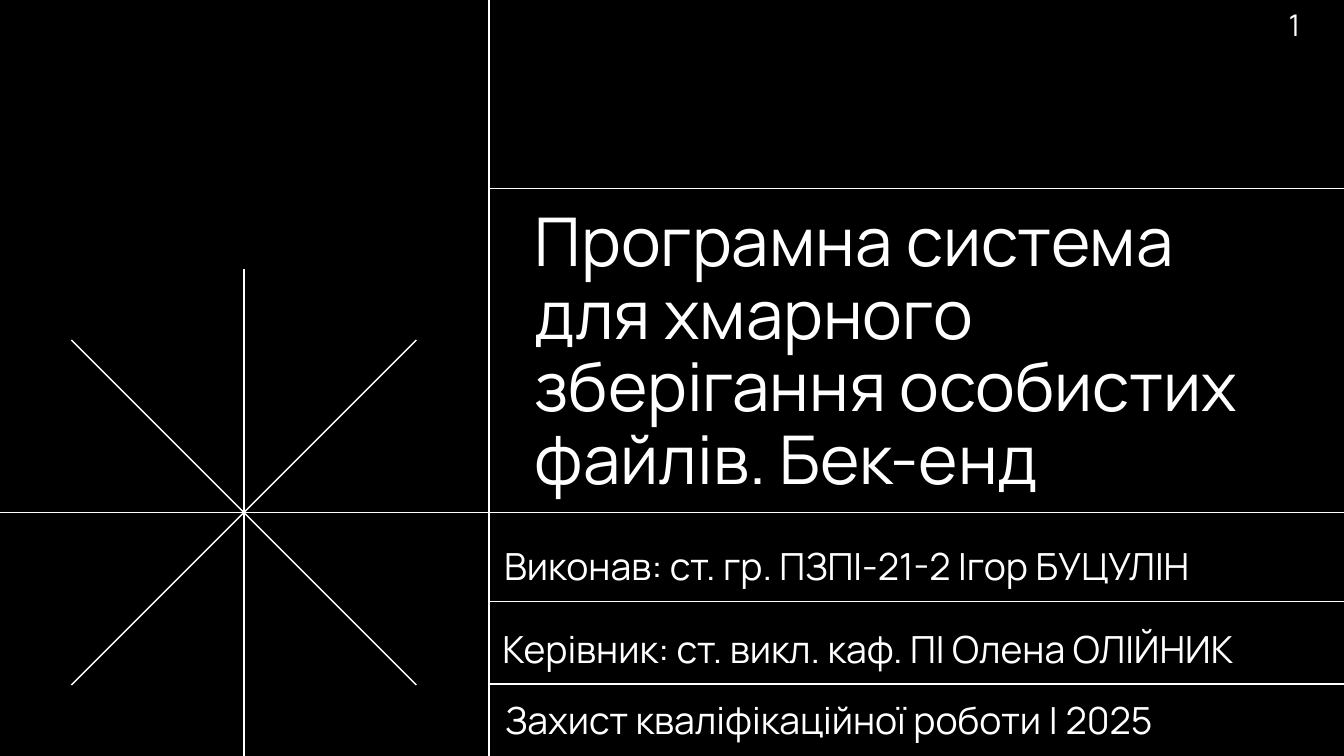
from math import cos, pi, sin

from lxml import etree
from pptx import Presentation
from pptx.dml.color import RGBColor
from pptx.enum.shapes import MSO_CONNECTOR
from pptx.enum.text import MSO_ANCHOR, MSO_AUTO_SIZE, PP_ALIGN
from pptx.oxml.ns import qn
from pptx.util import Inches, Pt

STRAIGHT = MSO_CONNECTOR.STRAIGHT
TOP = MSO_ANCHOR.TOP
BOTTOM = MSO_ANCHOR.BOTTOM
NO_AUTOFIT = MSO_AUTO_SIZE.NONE
LEFT = PP_ALIGN.LEFT

SLIDE_WIDTH = Inches(10)
SLIDE_HEIGHT = Inches(5.625)
TITLE_LAYOUT = 0


def color(value):
    return RGBColor.from_string(value)


class SlideBuilder:
    font = "Manrope"
    foreground = "FFFFFF"
    background = "000000"
    line_width = 0.75
    inset = 0.1

    def __init__(self, presentation, layout):
        self.slide = presentation.slides.add_slide(presentation.slide_layouts[layout])
        fill = self.slide.background.fill
        fill.solid()
        fill.fore_color.rgb = color(self.background)

    def x(self, percent):
        return round(SLIDE_WIDTH * percent / 100)

    def y(self, percent):
        return round(SLIDE_HEIGHT * percent / 100)

    def line(self, left, top, right, bottom):
        connector = self.slide.shapes.add_connector(
            STRAIGHT, self.x(left), self.y(top), self.x(right), self.y(bottom)
        )
        connector.line.color.rgb = color(self.foreground)
        connector.line.width = Pt(self.line_width)
        etree.SubElement(connector._element.spPr, qn("a:effectLst"))

    def star(self, center_x, center_y, radius, arms):
        ratio = SLIDE_WIDTH / SLIDE_HEIGHT
        for arm in range(arms):
            angle = pi * arm / arms
            across = radius * cos(angle)
            down = radius * ratio * sin(angle)
            self.line(center_x - across, center_y - down, center_x + across, center_y + down)

    def set_text(self, shape, box, text, size, anchor=BOTTOM, spacing=0.9, inset_y=0.1):
        left, top, width, height = box
        shape.left, shape.top = self.x(left), self.y(top)
        shape.width, shape.height = self.x(width), self.y(height)
        frame = shape.text_frame
        frame.word_wrap = True
        frame.auto_size = NO_AUTOFIT
        frame.vertical_anchor = anchor
        frame.margin_left = frame.margin_right = Inches(self.inset)
        frame.margin_top = frame.margin_bottom = Inches(inset_y)
        paragraph = frame.paragraphs[0]
        paragraph.alignment = LEFT
        paragraph.line_spacing = spacing
        paragraph.space_before = Pt(0)
        run = paragraph.add_run()
        run.text = text
        run.font.name = self.font
        run.font.size = Pt(size)
        run.font.bold = False
        run.font.color.rgb = color(self.foreground)

    def placeholder(self, index, box, text, size):
        self.set_text(self.slide.placeholders[index], box, text, size)

    def text_box(self, box, text, size, **options):
        shape = self.slide.shapes.add_textbox(0, 0, 0, 0)
        self.set_text(shape, box, text, size, **options)


def main():
    presentation = Presentation()
    presentation.slide_width = SLIDE_WIDTH
    presentation.slide_height = SLIDE_HEIGHT
    builder = SlideBuilder(presentation, TITLE_LAYOUT)

    divider = 36.4
    header, title_end, author_end, supervisor_end = 24.9, 67.8, 79.6, 90.5
    row_width = 63.5

    builder.star(divider / 2 - 0.05, title_end, divider / 2 - 0.05, 4)
    builder.line(divider, 0, divider, 100)
    for row in (header, title_end, author_end, supervisor_end):
        builder.line(divider, row, 100, row)

    builder.text_box((94.9, 0, 5.1, 6.6), "1", 16, anchor=TOP, spacing=1, inset_y=0.05)
    builder.placeholder(
        0,
        (38.8, 31.3, 59.1, title_end - 31.3),
        "Програмна система для хмарного зберігання особистих файлів. Бек-енд",
        36,
    )
    builder.placeholder(
        1,
        (36.5, title_end, row_width, author_end - title_end),
        "Виконав: ст. гр. ПЗПІ-21-2 Ігор БУЦУЛІН",
        20,
    )
    builder.text_box(
        (divider, author_end, row_width, 11),
        "Керівник: ст. викл. каф. ПІ Олена ОЛІЙНИК",
        20,
    )
    builder.text_box(
        (36.6, 89, row_width - 0.1, 11),
        "Захист кваліфікаційної роботи | 2025",
        20,
    )

    presentation.save("out.pptx")


if __name__ == "__main__":
    main()
